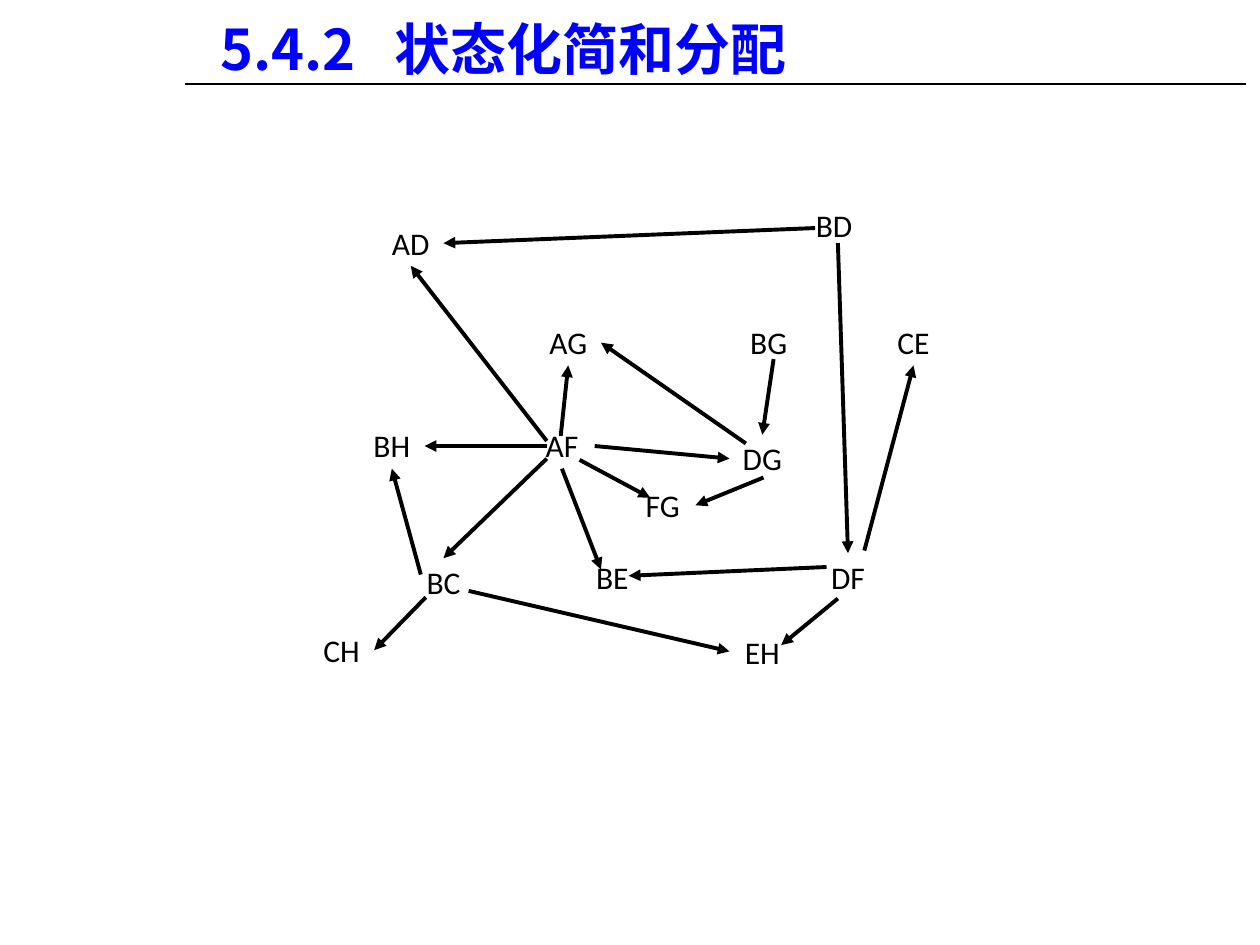
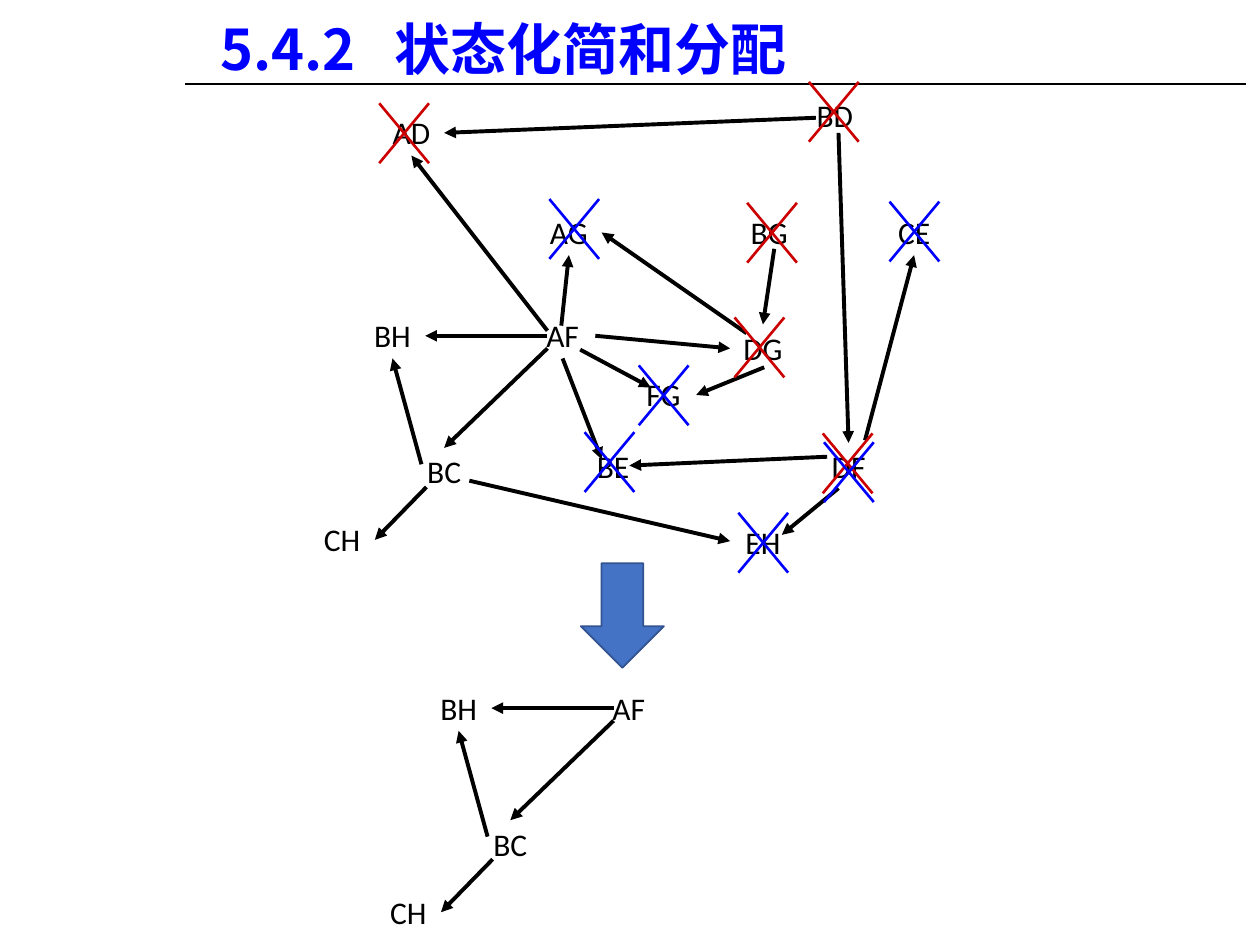
"""Build two slides on state reduction: the implication graph and its simplification."""
from lxml.etree import SubElement
from pptx import Presentation
from pptx.dml.color import RGBColor
from pptx.enum.shapes import MSO_CONNECTOR, MSO_SHAPE
from pptx.enum.text import MSO_ANCHOR, MSO_AUTO_SIZE, PP_ALIGN
from pptx.oxml.ns import qn
from pptx.util import Inches, Pt

COLORS = {
    "ink": "000000",
    "blue": "0000FF",
    "red": "CC0000",
    "arrow_fill": "4472C4",
    "arrow_edge": "325491",
}
TITLE_FONT = "Noto Sans CJK SC"
LABEL_FONT = "Calibri"
TITLE = "5.4.2\t状态化简和分配"
LABEL_WIDTH, LABEL_HEIGHT = 5.2, 3.7
CROSS_WIDTH, CROSS_HEIGHT = 3.95, 4.75

deck = Presentation()
deck.slide_width, deck.slide_height = Inches(10), Inches(7.5)
COLUMN = deck.slide_width / 100
ROW = deck.slide_height / 75


def write(frame, text, *, font, size, color, bold=False, align=PP_ALIGN.LEFT,
          anchor=MSO_ANCHOR.MIDDLE, inset=0, tab=None):
    """Fill a text frame with one formatted paragraph."""
    frame.word_wrap = True
    frame.auto_size = MSO_AUTO_SIZE.NONE
    frame.vertical_anchor = anchor
    frame.margin_left = frame.margin_right = round(inset * COLUMN)
    frame.margin_top = frame.margin_bottom = 0
    para = frame.paragraphs[0]
    para.alignment = align
    if tab:
        stops = SubElement(para._p.get_or_add_pPr(), qn("a:tabLst"))
        SubElement(stops, qn("a:tab"), pos=str(round(tab * COLUMN)), algn="l")
    span = para.add_run()
    span.text = text
    span.font.name = font
    span.font.size = Pt(size)
    span.font.bold = bold
    span.font.color.rgb = RGBColor.from_string(COLORS[color])
    SubElement(span._r.get_or_add_rPr(), qn("a:ea"), typeface=font)


def draw_line(shapes, start, end, color="ink", width=2.25, arrow=False):
    """Draw a straight line between two grid points."""
    line = shapes.add_connector(
        MSO_CONNECTOR.STRAIGHT,
        round(start[0] * COLUMN), round(start[1] * ROW),
        round(end[0] * COLUMN), round(end[1] * ROW))
    line.line.color.rgb = RGBColor.from_string(COLORS[color])
    line.line.width = Pt(width)
    if arrow:
        SubElement(line.line._get_or_add_ln(), qn("a:tailEnd"), type="triangle")
    SubElement(line._element.spPr, qn("a:effectLst"))


STATES = {
    "AD": (30, 17.4), "BD": (63.6, 16), "BG": (58.4, 25.3), "AG": (42.5, 25.3),
    "BH": (28.5, 33.5), "DG": (57.9, 34.5), "AF": (42, 33.5), "CE": (69.9, 25.3),
    "DF": (64.7, 43.9), "BE": (46, 43.9), "BC": (32.6, 44.3), "CH": (24.5, 49.7),
    "EH": (57.9, 49.9), "FG": (50, 38.2),
}
IMPLICATIONS = {
    ("AF", "AD"): ((43.4, 35), (32.6, 21.1)),
    ("AF", "BH"): ((43.4, 35.4), (33.7, 35.4)),
    ("AF", "BC"): ((43.4, 36.4), (35.2, 44.3)),
    ("BC", "CH"): ((33.8, 47.4), (29.7, 51.6)),
    ("AF", "AG"): ((44.5, 34.6), (45.1, 29)),
    ("AF", "DG"): ((47.2, 35.4), (57.9, 36.4)),
    ("AF", "BE"): ((44.6, 37.2), (47.7, 45.2)),
    ("AF", "FG"): ((46, 36.5), (51.6, 39.5)),
    ("DG", "AG"): ((59.2, 35.2), (47.7, 27.2)),
    ("BD", "AD"): ((64.7, 18.1), (35.2, 19.3)),
    ("BD", "DF"): ((66.5, 19.3), (67.3, 43.9)),
    ("DF", "CE"): ((68.6, 43.7), (72.5, 29)),
    ("DF", "EH"): ((66.5, 47.5), (62, 51.2)),
    ("BC", "EH"): ((37.2, 46.9), (57.9, 51.7)),
    ("DF", "BE"): ((65.6, 45), (49.9, 45.7)),
    ("DG", "FG"): ((60.6, 37.9), (55.2, 40.1)),
    ("BG", "DG"): ((61.4, 28.5), (60.5, 34.5)),
    ("BC", "BH"): ((33.4, 45.6), (31.1, 37.2)),
}
CROSSES = {
    "red": [(64.2, 6.5), (30.1, 8.2), (59.3, 16.1), (58.3, 25.2), (65.3, 34.4)],
    "blue": [(58.6, 40.7), (70.6, 16), (43.6, 15.8), (50.7, 29), (46.4, 34.3),
             (65.4, 35.1)],
}
KEPT_STATES = ["BH", "AF", "BC", "CH"]
SLIDES = [
    {"graphs": [(STATES, 0, 0)], "crosses": {}, "reduced": False},
    {"graphs": [(STATES, 0.05, -8.75), (KEPT_STATES, 5.3, 20.8)],
     "crosses": CROSSES, "reduced": True},
]

for content in SLIDES:
    page = deck.slides.add_slide(deck.slide_layouts[5])
    shapes = page.shapes
    draw_line(shapes, (14.7, 6.7), (98.9, 6.7), width=1.25)

    title = shapes.title
    title.left, title.top = round(16.5 * COLUMN), round(0.2 * ROW)
    title.width, title.height = round(72.3 * COLUMN), round(6.3 * ROW)
    write(title.text_frame, TITLE, font=TITLE_FONT, size=32, color="blue",
          bold=True, anchor=MSO_ANCHOR.BOTTOM, inset=1, tab=13.8)

    for states, shift_x, shift_y in content["graphs"]:
        for state in states:
            left, top = STATES[state]
            box = shapes.add_textbox(
                round((left + shift_x) * COLUMN), round((top + shift_y) * ROW),
                round(LABEL_WIDTH * COLUMN), round(LABEL_HEIGHT * ROW))
            write(box.text_frame, state, font=LABEL_FONT, size=18, color="ink",
                  align=PP_ALIGN.CENTER)
        for (source, target), ends in IMPLICATIONS.items():
            if source in states and target in states:
                start, end = [(x + shift_x, y + shift_y) for x, y in ends]
                draw_line(shapes, start, end, arrow=True)

    for color, corners in content["crosses"].items():
        for left, top in corners:
            right, bottom = left + CROSS_WIDTH, top + CROSS_HEIGHT
            cross = shapes.add_group_shape()
            draw_line(cross.shapes, (left, top), (right, bottom), color, 1.5)
            draw_line(cross.shapes, (right, top), (left, bottom), color, 1.5)

    if content["reduced"]:
        down_arrow = shapes.add_shape(
            MSO_SHAPE.DOWN_ARROW, round(46.1 * COLUMN), round(44.7 * ROW),
            round(6.6 * COLUMN), round(8.3 * ROW))
        down_arrow.shadow.inherit = False
        down_arrow.fill.solid()
        down_arrow.fill.fore_color.rgb = RGBColor.from_string(COLORS["arrow_fill"])
        down_arrow.line.color.rgb = RGBColor.from_string(COLORS["arrow_edge"])
        down_arrow.line.width = Pt(1)

deck.save("out.pptx")
